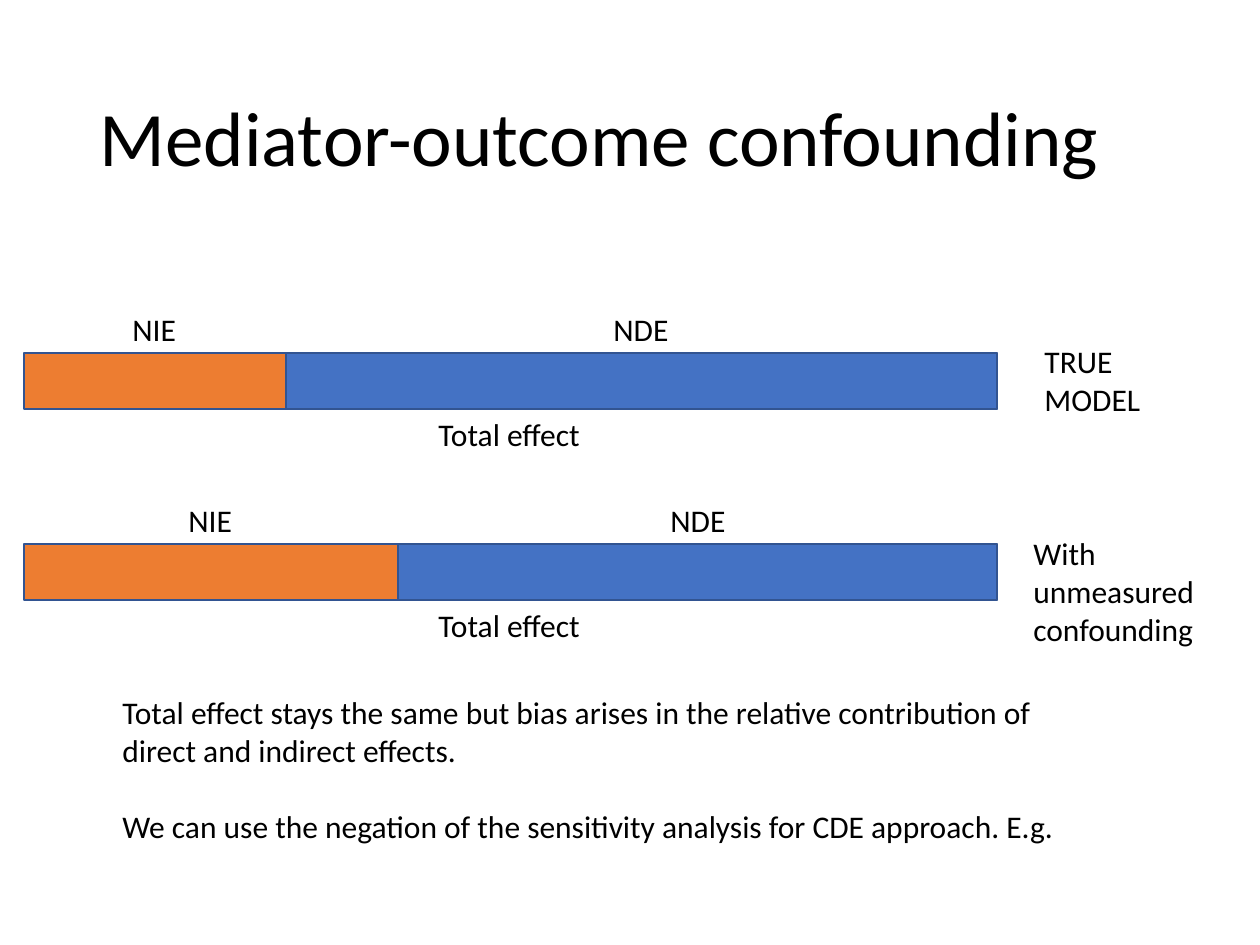
from pptx import Presentation
from pptx.dml.color import RGBColor
from pptx.enum.shapes import MSO_SHAPE
from pptx.enum.text import MSO_ANCHOR, PP_ALIGN
from pptx.util import Emu, Inches, Pt

SCALE = Inches(1) / 126
COLORS = {"text": "000000", "nie": "ED7D31", "nde": "4472C4", "edge": "325491"}


def px(*sizes):
    return [Emu(round(size * SCALE)) for size in sizes]


def tint(name):
    return RGBColor.from_string(COLORS[name])


class Deck:
    font = "Calibri"
    size = 18

    def __init__(self, show):
        self.slide = show.slides.add_slide(show.slide_layouts[5])

    def style(self, para, size):
        para.font.name = self.font
        para.font.size = Pt(size)
        para.font.color.rgb = tint("text")
        para.alignment = PP_ALIGN.LEFT

    def title(self, text, *box):
        title = self.slide.shapes.title
        title.left, title.top, title.width, title.height = px(*box)
        frame = title.text_frame
        frame.text = text
        frame.vertical_anchor = MSO_ANCHOR.MIDDLE
        frame.paragraphs[0].line_spacing = 0.9
        self.style(frame.paragraphs[0], 44)

    def bar(self, fill, *box):
        bar = self.slide.shapes.add_shape(MSO_SHAPE.RECTANGLE, *px(*box))
        bar.shadow.inherit = False
        bar.fill.solid()
        bar.fill.fore_color.rgb = tint(fill)
        bar.line.color.rgb = tint("edge")
        bar.line.width = Pt(1)

    def text(self, lines, *box, wrap=False, gap=0):
        frame = self.slide.shapes.add_textbox(*px(*box)).text_frame
        frame.word_wrap = wrap
        for i, line in enumerate(lines):
            para = frame.paragraphs[0] if i == 0 else frame.add_paragraph()
            para.text = line
            para.space_before = Pt(gap if i else 0)
            self.style(para, self.size)

    def model(self, top, split, nie, nde):
        left, right, high = 24, 997, 56
        self.bar("nie", left, top, right - left, high)
        self.bar("nde", split, top, right - split, high)
        self.text(["Total effect"], 426, top + high, 169, 50)
        self.text(["NDE"], nde, top - 49, 81, 50)
        self.text(["NIE"], nie, top - 49, 69, 50)


def main():
    show = Presentation()
    show.slide_width, show.slide_height = px(1260, 945)
    deck = Deck(show)
    deck.title("Mediator-outcome confounding", 87, 50, 1086, 183)
    deck.model(353, 286, 120, 601)
    deck.text(["TRUE", "MODEL"], 1032, 336, 122, 89)
    deck.model(544, 398, 176, 658)
    deck.text(["With unmeasured", "confounding"], 1021, 528, 213, 127, wrap=True)
    deck.text(
        [
            "Total effect stays the same but bias arises in the relative "
            "contribution of direct and indirect effects.",
            "We can use the negation of the sensitivity analysis for CDE "
            "approach. E.g.",
        ],
        110, 687, 980, 242, wrap=True, gap=22,
    )
    show.save("out.pptx")


if __name__ == "__main__":
    main()
